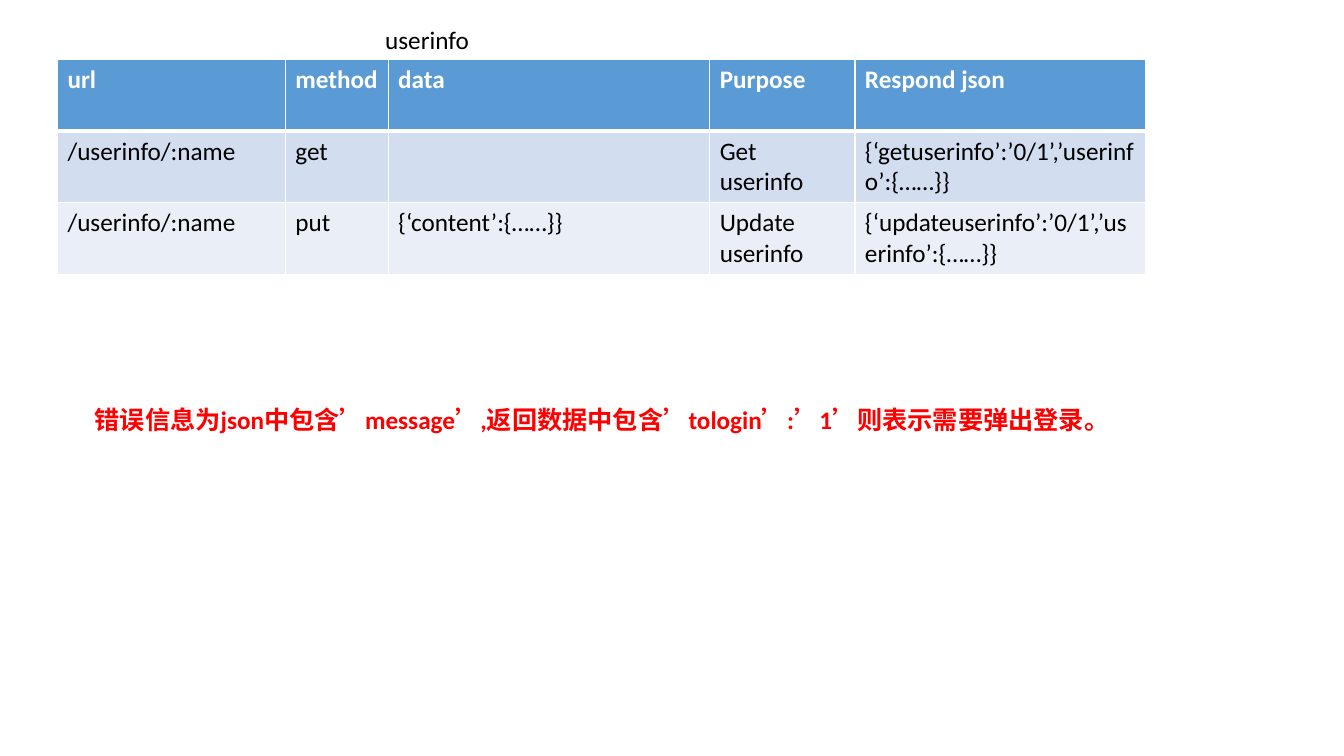
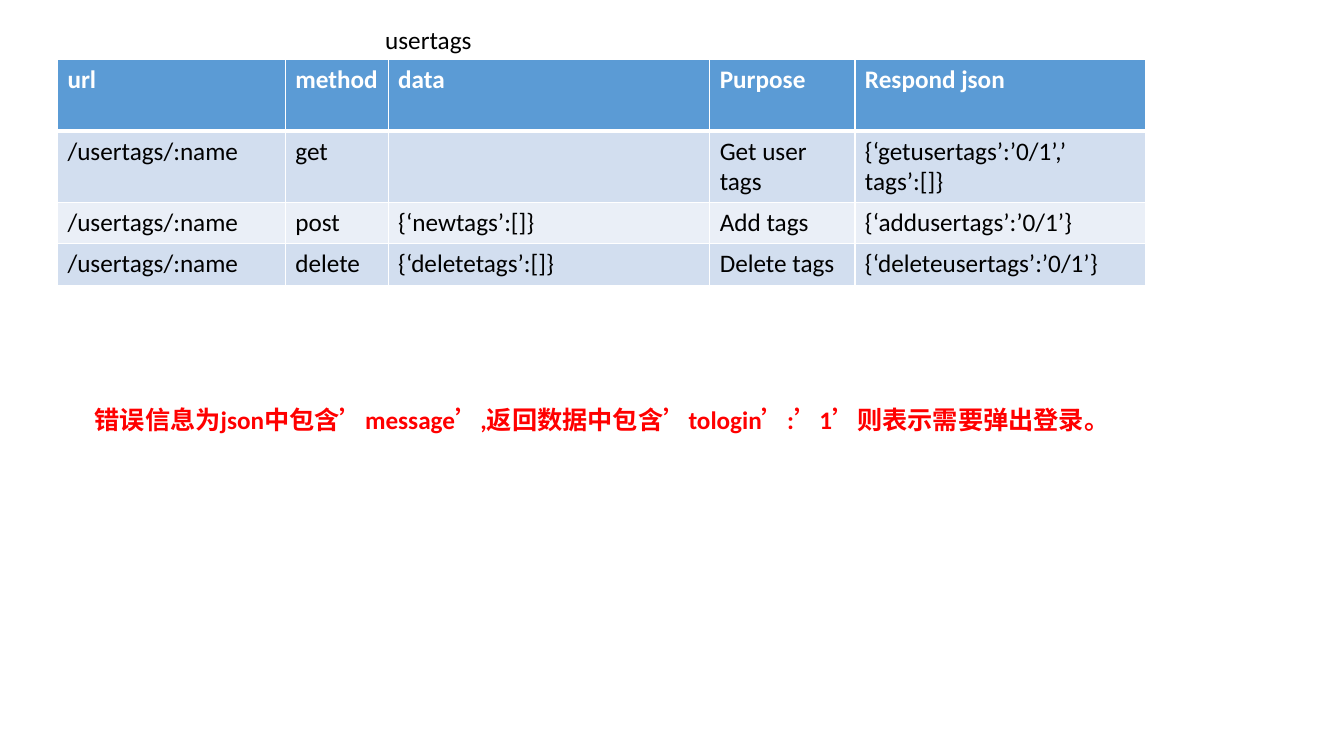
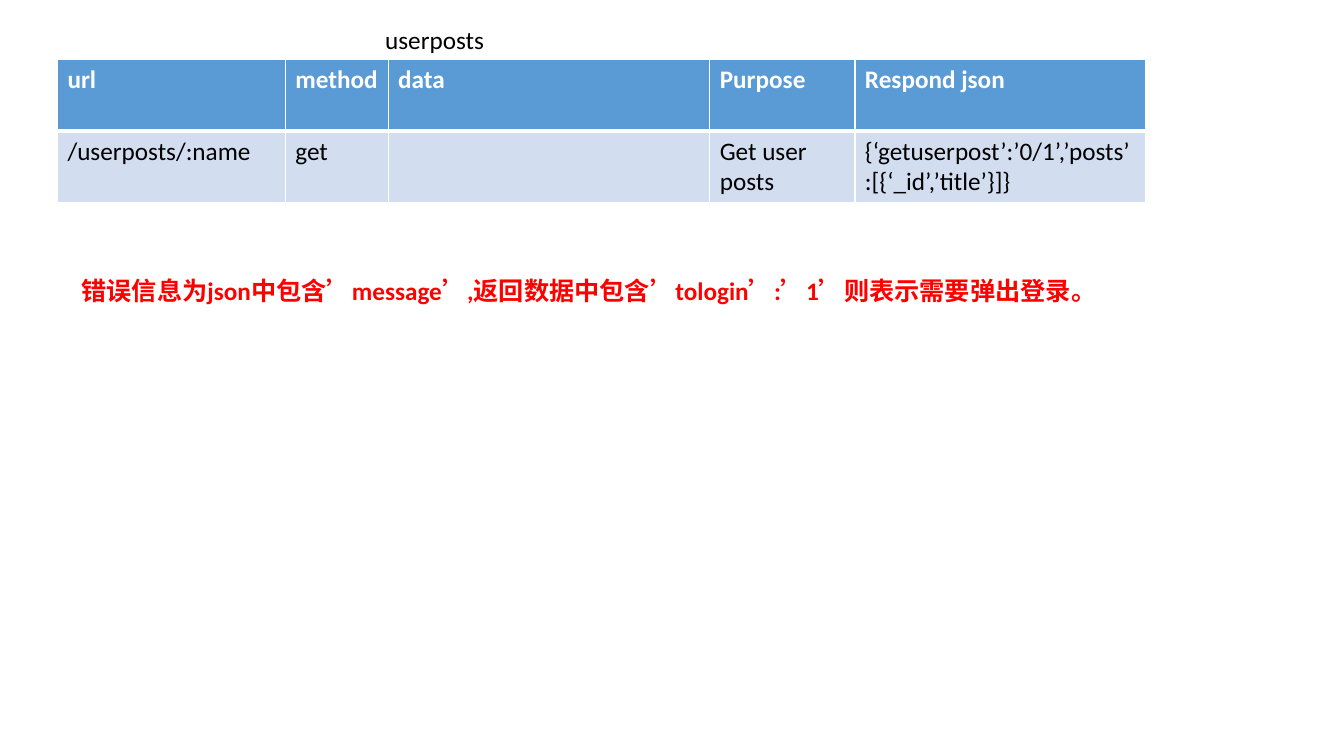
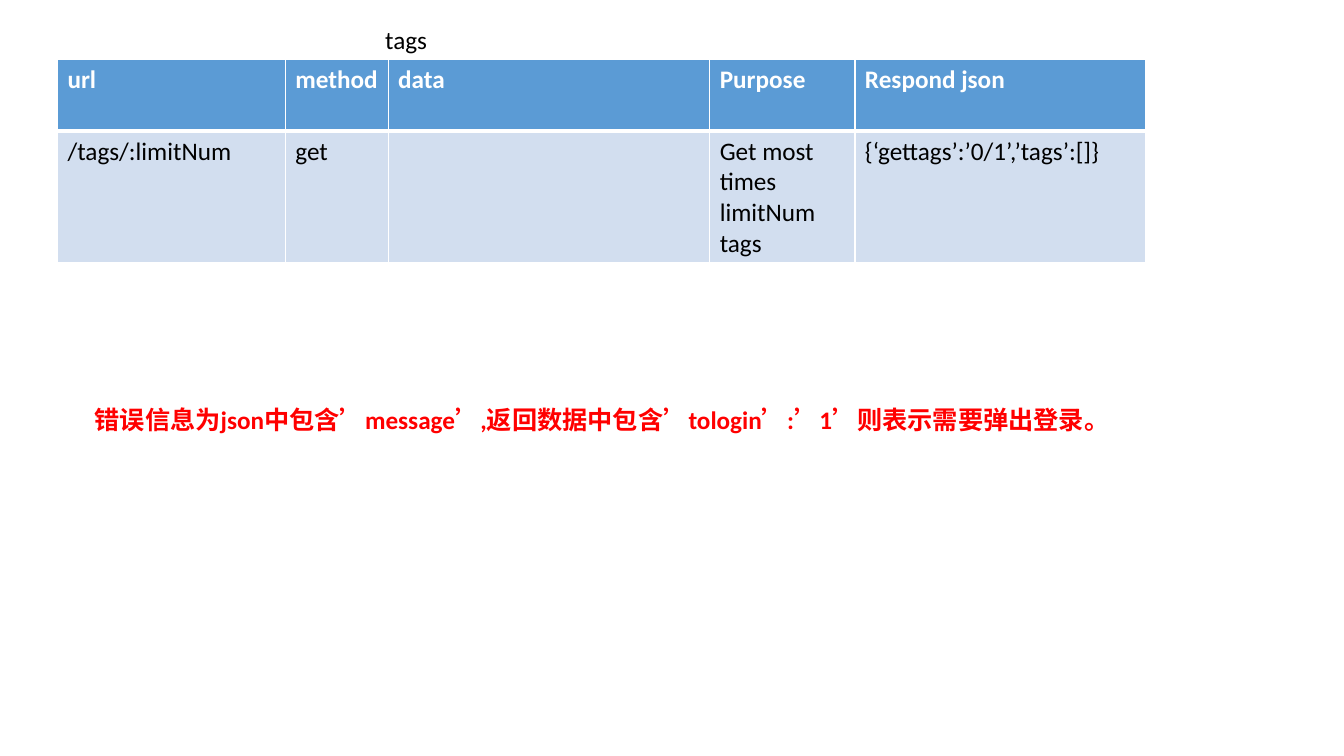
"""Build four slides that document the endpoints of a web API."""
from lxml.etree import SubElement
from pptx import Presentation
from pptx.dml.color import RGBColor
from pptx.enum.text import MSO_ANCHOR, MSO_AUTO_SIZE, PP_ALIGN
from pptx.oxml.ns import qn
from pptx.util import Inches, Pt

FONT = "Calibri"
SIZE = 18
BLACK, WHITE, RED = "000000", "FFFFFF", "FF0000"
HEADER_FILL = "5B9BD5"
BAND_FILLS = ("D2DEEF", "EAEFF7")

COLUMNS = (("url", 2.26), ("method", 1.02), ("data", 3.19), ("Purpose", 1.44), ("Respond json", 2.88))
LOGIN_NOTE = "错误信息为json中包含’message’,返回数据中包含’tologin’:’1’则表示需要弹出登录。"
HEADING_BOX = (3.72, 0.19, 2.6, 0.4)
TABLE_LEFT, TABLE_TOP = 0.57, 0.59
HEADER_HEIGHT = 0.71
NOTE_SIZE = (10.6, 0.4)
LOW_NOTE, HIGH_NOTE = (0.84, 3.96), (0.71, 2.68)

RESOURCES = [
    {
        "heading": "userinfo",
        "note_at": LOW_NOTE,
        "endpoints": [
            (0.71, "/userinfo/:name", "get", "", "Get userinfo", "{‘getuserinfo’:’0/1’,’userinfo’:{……}}"),
            (0.71, "/userinfo/:name", "put", "{‘content’:{……}}", "Update userinfo",
             "{‘updateuserinfo’:’0/1’,’userinfo’:{……}}"),
        ],
    },
    {
        "heading": "usertags",
        "note_at": LOW_NOTE,
        "endpoints": [
            (0.71, "/usertags/:name", "get", "", "Get user tags", "{‘getusertags’:’0/1’,’\ntags’:[]}"),
            (0.41, "/usertags/:name", "post", "{‘newtags’:[]}", "Add tags", "{‘addusertags’:’0/1’}"),
            (0.41, "/usertags/:name", "delete", "{‘deletetags’:[]}", "Delete tags", "{‘deleteusertags’:’0/1’}"),
        ],
    },
    {
        "heading": "userposts",
        "note_at": HIGH_NOTE,
        "endpoints": [
            (0.71, "/userposts/:name", "get", "", "Get user posts",
             "{‘getuserpost’:’0/1’,’posts’:[{‘_id’,’title’}]}"),
        ],
    },
    {
        "heading": "tags",
        "note_at": LOW_NOTE,
        "endpoints": [
            (1.3, "/tags/:limitNum", "get", "", "Get most times limitNum tags", "{‘gettags’:’0/1’,’tags’:[]}"),
        ],
    },
]


def rgb(code):
    return RGBColor.from_string(code)


def write(frame, text, color, bold=False):
    frame.text = text
    for paragraph in frame.paragraphs:
        paragraph.alignment = PP_ALIGN.LEFT
        for run in paragraph.runs:
            run.font.name = FONT
            run.font.size = Pt(SIZE)
            run.font.bold = bold
            run.font.color.rgb = rgb(color)


def fit_box(frame):
    frame.word_wrap = True
    frame.auto_size = MSO_AUTO_SIZE.SHAPE_TO_FIT_TEXT
    frame.vertical_anchor = MSO_ANCHOR.TOP


def add_borders(cell, top, bottom):
    properties = cell._tc.get_or_add_tcPr()
    for side, points in (("L", 1), ("R", 1), ("T", top), ("B", bottom)):
        line = SubElement(properties, qn(f"a:ln{side}"), w=str(Pt(points)))
        fill = SubElement(line, qn("a:solidFill"))
        SubElement(fill, qn("a:srgbClr"), val=WHITE)


def add_heading(slide, heading):
    title = slide.shapes.title
    title.left, title.top, title.width, title.height = map(Inches, HEADING_BOX)
    write(title.text_frame, heading, BLACK)
    fit_box(title.text_frame)


def add_endpoints(slide, endpoints):
    names, widths = zip(*COLUMNS)
    rows = [(HEADER_HEIGHT, *names), *endpoints]
    height = sum(row[0] for row in rows)
    table = slide.shapes.add_table(
        len(rows), len(names), Inches(TABLE_LEFT), Inches(TABLE_TOP), Inches(sum(widths)), Inches(height)
    ).table
    for column, width in zip(table.columns, widths):
        column.width = Inches(width)
    for index, (row_height, *texts) in enumerate(rows):
        is_header = index == 0
        table.rows[index].height = Inches(row_height)
        for cell, text in zip(table.rows[index].cells, texts):
            write(cell.text_frame, text, WHITE if is_header else BLACK, is_header)
            add_borders(cell, 3 if index == 1 else 1, 3 if is_header else 1)
            cell.fill.solid()
            cell.fill.fore_color.rgb = rgb(HEADER_FILL if is_header else BAND_FILLS[(index - 1) % 2])


def add_note(slide, position):
    note = slide.shapes.add_textbox(*map(Inches, position + NOTE_SIZE))
    write(note.text_frame, LOGIN_NOTE, RED, True)
    fit_box(note.text_frame)


def main():
    deck = Presentation()
    deck.slide_width, deck.slide_height = Inches(13.33), Inches(7.5)
    title_only = deck.slide_layouts[5]
    for resource in RESOURCES:
        slide = deck.slides.add_slide(title_only)
        add_heading(slide, resource["heading"])
        add_endpoints(slide, resource["endpoints"])
        add_note(slide, resource["note_at"])
    deck.save("out.pptx")


if __name__ == "__main__":
    main()
